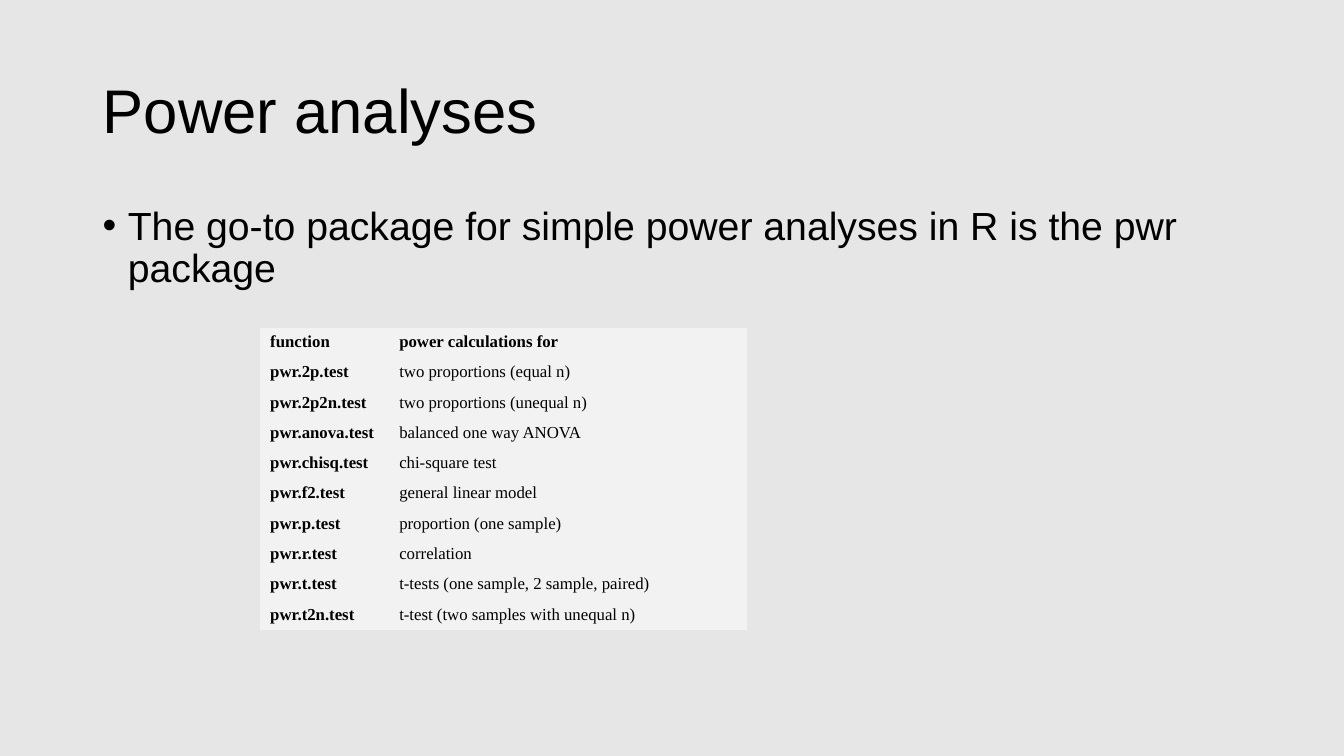
from lxml.etree import SubElement
from pptx import Presentation
from pptx.dml.color import RGBColor
from pptx.enum.text import MSO_ANCHOR, PP_ALIGN
from pptx.oxml.ns import qn
from pptx.util import Inches, Pt

NO_STYLE = "{2D5ABB26-0587-4C30-8999-92F81FD0307C}"
POWER_FUNCTIONS = [
    ("function", "power calculations for"),
    ("pwr.2p.test", "two proportions (equal n)"),
    ("pwr.2p2n.test", "two proportions (unequal n)"),
    ("pwr.anova.test", "balanced one way ANOVA"),
    ("pwr.chisq.test", "chi-square test"),
    ("pwr.f2.test", "general linear model"),
    ("pwr.p.test", "proportion (one sample)"),
    ("pwr.r.test", "correlation"),
    ("pwr.t.test", "t-tests (one sample, 2 sample, paired)"),
    ("pwr.t2n.test", "t-test (two samples with unequal n)"),
]


def color(hex_value):
    return RGBColor.from_string(hex_value)


def format_paragraph(paragraph, text, line_spacing, **font_values):
    paragraph.text = text
    paragraph.alignment = PP_ALIGN.LEFT
    paragraph.line_spacing = line_spacing
    for name, value in font_values.items():
        setattr(paragraph.font, name, value)
    paragraph.font.color.rgb = color("000000")


presentation = Presentation()
presentation.slide_width = Inches(13.33)
presentation.slide_height = Inches(7.5)
slide = presentation.slides.add_slide(presentation.slide_layouts[5])
slide.background.fill.solid()
slide.background.fill.fore_color.rgb = color("E7E6E6")

title = slide.shapes.title
title_box = {"left": 0.92, "top": 0.4, "width": 11.5, "height": 1.45}
for name, value in title_box.items():
    setattr(title, name, Inches(value))
title.text_frame.vertical_anchor = MSO_ANCHOR.MIDDLE
format_paragraph(title.text_frame.paragraphs[0], "Power analyses", 0.9,
                 size=Pt(44), name="Arial")

body = slide.shapes.add_textbox(Inches(0.92), Inches(2), Inches(11.5), Inches(4.76))
body.text_frame.word_wrap = True
bullet_paragraph = body.text_frame.paragraphs[0]
properties = bullet_paragraph._p.get_or_add_pPr()
properties.set("marL", str(Inches(0.25)))
properties.set("indent", str(Inches(-0.25)))
SubElement(properties, qn("a:buFont"), typeface="Arial")
SubElement(properties, qn("a:buChar"), char="•")
format_paragraph(bullet_paragraph,
                 "The go-to package for simple power analyses in R is the pwr package",
                 0.9, size=Pt(28), name="Arial")

table_frame = slide.shapes.add_table(len(POWER_FUNCTIONS), 2, Inches(2.58), Inches(3.25),
                                     Inches(4.83), Inches(0.3 * len(POWER_FUNCTIONS)))
table = table_frame.table
table.horz_banding = False
table._tbl.tblPr.find(qn("a:tableStyleId")).text = NO_STYLE
for column, width in zip(table.columns, (1.28, 3.55)):
    column.width = Inches(width)
for row_index, row_texts in enumerate(POWER_FUNCTIONS):
    table.rows[row_index].height = Inches(0.3)
    for column_index, text in enumerate(row_texts):
        cell = table.cell(row_index, column_index)
        cell.fill.solid()
        cell.fill.fore_color.rgb = color("F2F2F2")
        format_paragraph(cell.text_frame.paragraphs[0], text, 1.0, size=Pt(12),
                         name="Times New Roman",
                         bold=row_index == 0 or column_index == 0)

presentation.save("out.pptx")
